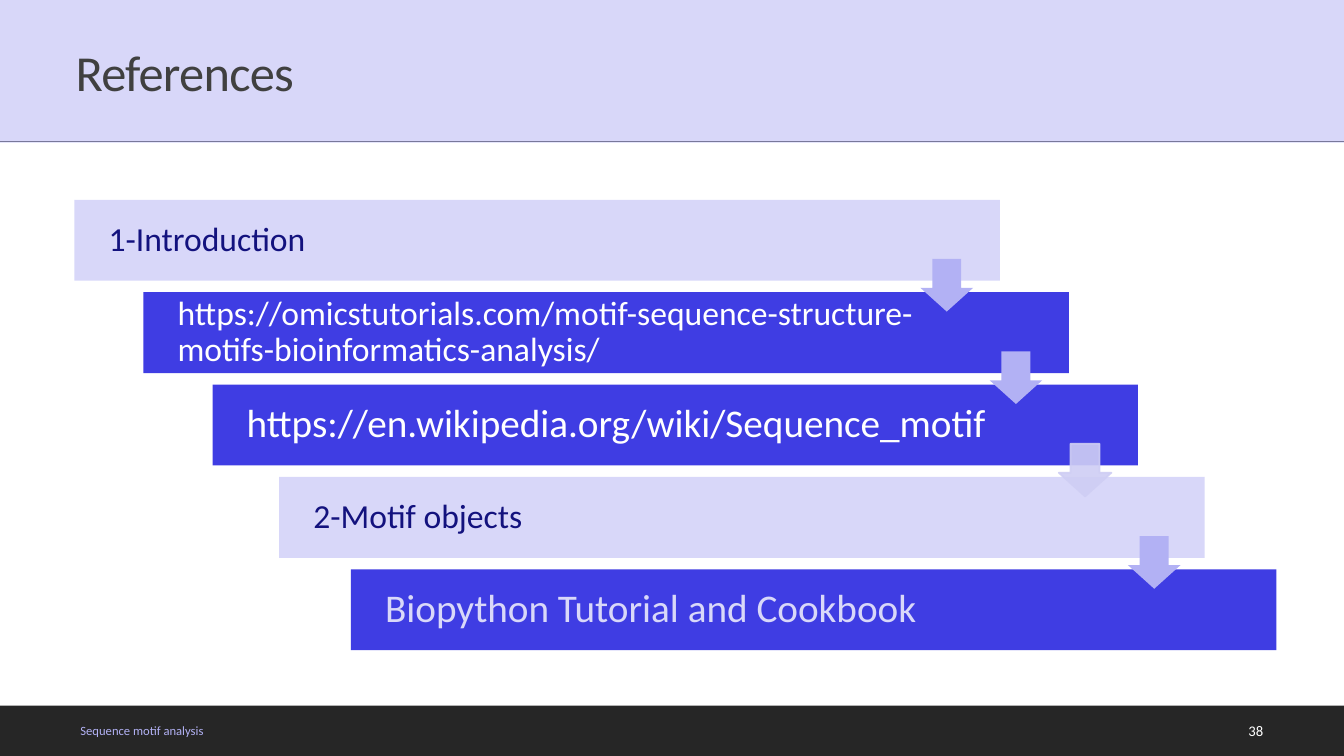
import lxml.etree
import pptx
import pptx.dml.color
import pptx.enum.shapes
import pptx.enum.text
import pptx.oxml.ns
import pptx.util

Pt = pptx.util.Pt
SHAPE = pptx.enum.shapes.MSO_SHAPE
ALIGN = pptx.enum.text.PP_ALIGN
qn = pptx.oxml.ns.qn

WIDTH, HEIGHT = 960, 540
LILAC, BLUE, NAVY = "B2B1F4", "3F3DE3", "13127E"
WHITE, GREY, DARK = "FFFFFF", "404040", "262626"
PALE, PALE_ARROW = "D9D8F9", "CFCEF4"


def rgb(value):
    return pptx.dml.color.RGBColor.from_string(value)


def paint(fill, color, alpha=100):
    """Make a fill solid, with opacity in percent."""
    fill.solid()
    fill.fore_color.rgb = rgb(color)
    if alpha < 100:
        clr = fill._xPr.find(qn("a:solidFill"))[0]
        lxml.etree.SubElement(clr, qn("a:alpha"), val=str(alpha * 1000))


def write(sp, text, size, color, font="Calibri", insets=(7.2, 3.6, 7.2, 3.6),
          align=ALIGN.LEFT, spacing=1.0, tracking=None):
    tf = sp.text_frame
    tf.word_wrap = True
    tf.vertical_anchor = pptx.enum.text.MSO_ANCHOR.MIDDLE
    (tf.margin_left, tf.margin_top,
     tf.margin_right, tf.margin_bottom) = map(Pt, insets)
    p = tf.paragraphs[0]
    p.alignment = align
    p.line_spacing = spacing
    r = p.add_run()
    r.text = text
    r.font.name, r.font.size = font, Pt(size)
    r.font.color.rgb = rgb(color)
    if tracking is not None:
        r._r.get_or_add_rPr().set("spc", str(round(tracking * 100)))


class Deck:
    def __init__(self):
        self.prs = pptx.Presentation()
        self.prs.slide_width, self.prs.slide_height = Pt(WIDTH), Pt(HEIGHT)
        self.s = self.prs.slides.add_slide(self.prs.slide_layouts[6])

    def shape(self, kind, x, y, w, h, color, alpha=100, outline=None):
        sp = self.s.shapes.add_shape(kind, Pt(x), Pt(y), Pt(w), Pt(h))
        sp.shadow.inherit = False
        paint(sp.fill, color, alpha)
        if outline:
            paint(sp.line.fill, color, alpha)
            sp.line.width = Pt(outline)
        else:
            sp.line.fill.background()
        return sp

    def rect(self, *box, **style):
        return self.shape(SHAPE.RECTANGLE, *box, **style)

    def arrow(self, x, y, size, **style):
        sp = self.shape(SHAPE.DOWN_ARROW, x, y, size, size, **style)
        sp.adjustments[0], sp.adjustments[1] = 0.55, 0.45

    def rule(self, y, color, width):
        line = self.s.shapes.add_connector(
            pptx.enum.shapes.MSO_CONNECTOR.STRAIGHT, 0, Pt(y), Pt(WIDTH), Pt(y))
        line.line.color.rgb = rgb(color)
        line.line.width = Pt(width)
        lxml.etree.SubElement(line._element.spPr, qn("a:effectLst"))

    def label(self, x, y, w, h, text, **style):
        sp = self.s.shapes.add_textbox(Pt(x), Pt(y), Pt(w), Pt(h))
        write(sp, text, **style)


def main():
    deck = Deck()
    deck.rect(0, 504, WIDTH, 36, color=DARK)
    deck.rule(101, GREY, 1)
    title = deck.rect(0, 0, WIDTH, 102, color=LILAC, alpha=50)
    write(title, "References", 36, GREY, insets=(54, 9, 7.2, 3.6),
          spacing=0.9, tracking=-0.5)

    heading = dict(color=LILAC, alpha=50)
    entry = dict(color=BLUE)
    steps = [
        (53.2, heading, "1-Introduction", 24, NAVY),
        (102.5, entry, "https://omicstutorials.com/motif-sequence-structure-"
                       "motifs-bioinformatics-analysis/", 24, WHITE),
        (151.8, entry, "https://en.wikipedia.org/wiki/Sequence_motif", 28, WHITE),
        (199.4, heading, "2-Motif objects", 24, NAVY),
        (250.7, entry, "Biopython Tutorial and Cookbook", 28, PALE),
    ]
    for i, (left, style, text, size, color) in enumerate(steps):
        bar = deck.rect(left, 142.7 + 66 * i, 661, 57.8, **style)
        write(bar, text, size, color, insets=(24.4, 0, 97, 0), spacing=0.9)

    plain = dict(color=LILAC)
    outlined = dict(color=PALE_ARROW, alpha=90, outline=1.25)
    for i, style in enumerate([plain, plain, outlined, plain]):
        deck.arrow(657.5 + 49.4 * i, 185 + 66 * i, 37.6, **style)

    deck.label(50.4, 507.6, 537, 28.8, "Sequence motif analysis",
               size=9, color=LILAC)
    deck.label(860.4, 507.6, 49, 28.8, "38", size=10.5, color=WHITE,
               align=ALIGN.RIGHT)
    deck.prs.save("out.pptx")


if __name__ == "__main__":
    main()
